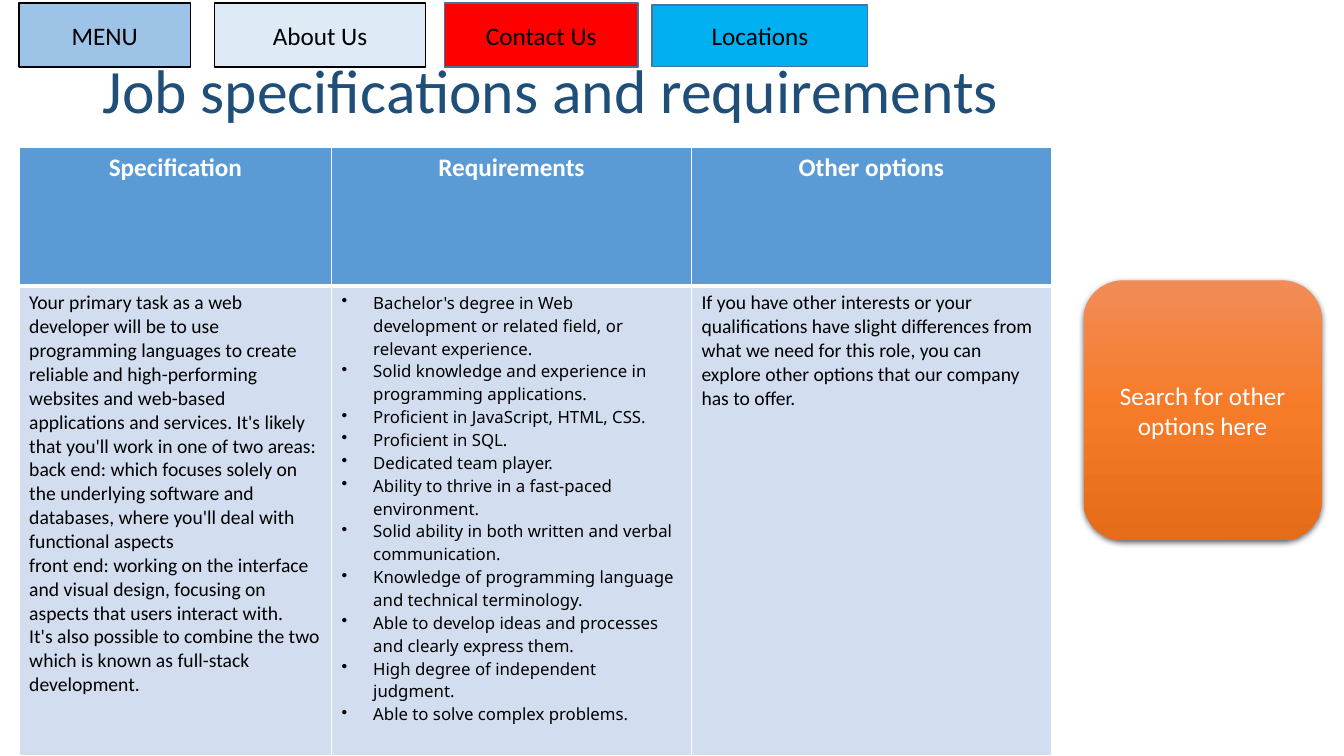
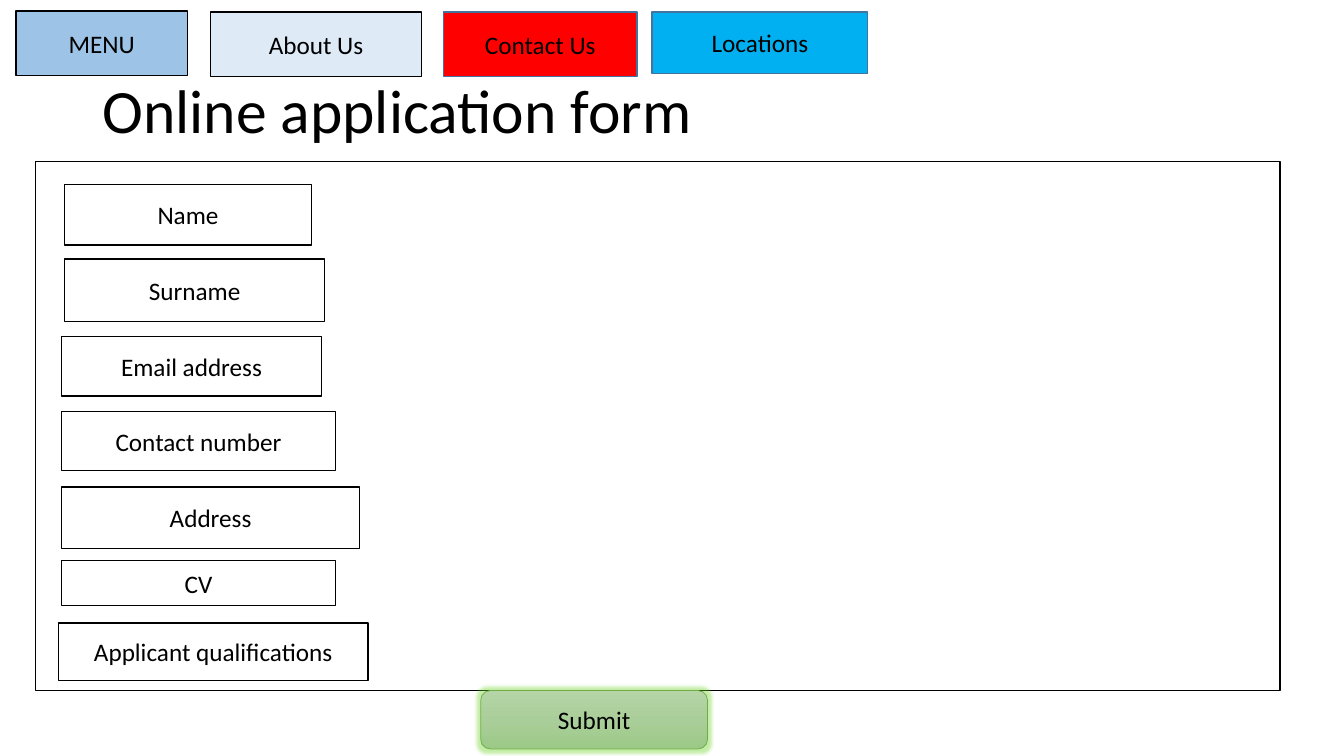
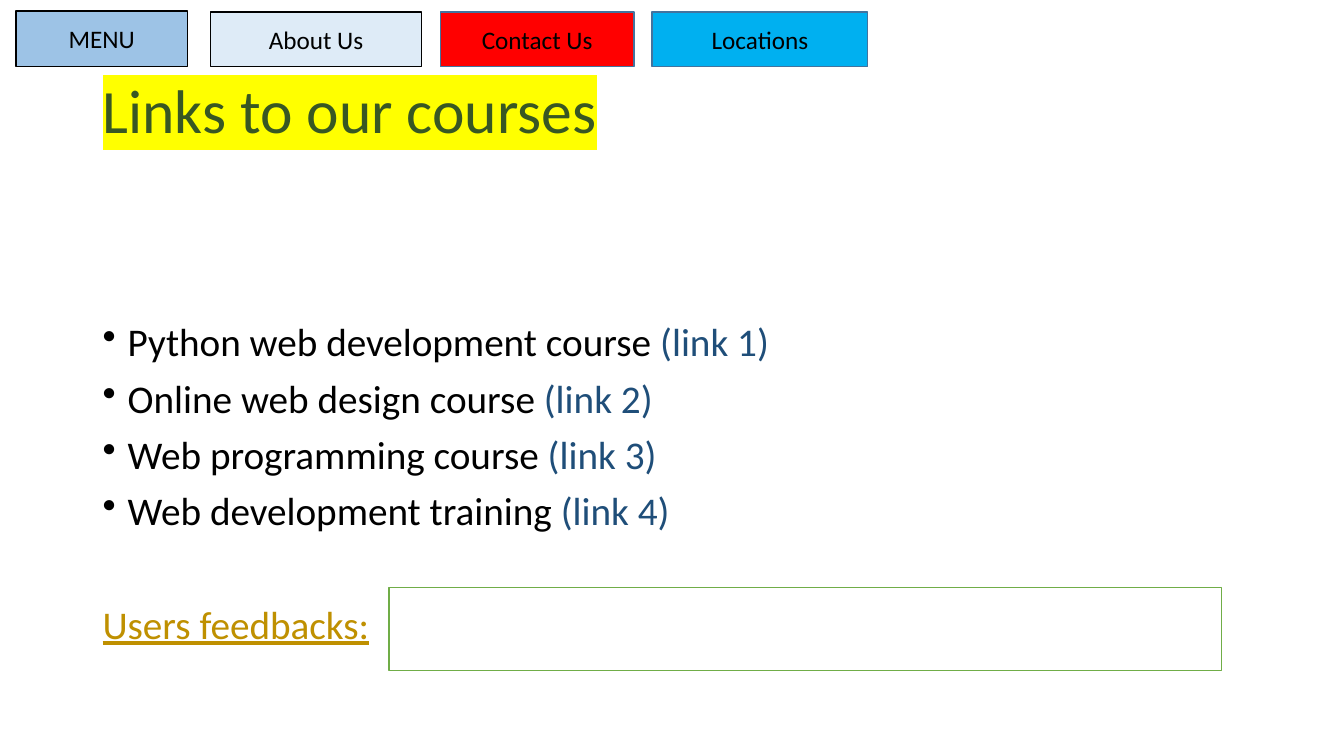
"""Build three pages of a job site: specifications, application form and course links."""
import copy
from dataclasses import dataclass
from typing import Optional

import lxml.etree
import pptx
import pptx.dml.color
import pptx.enum.shapes
import pptx.enum.text
import pptx.oxml.ns
import pptx.util

Pt = pptx.util.Pt
qn = pptx.oxml.ns.qn
Preset = pptx.enum.shapes.MSO_SHAPE
Align = pptx.enum.text.PP_ALIGN
Anchor = pptx.enum.text.MSO_ANCHOR

COLORS = {
    "black": "000000", "white": "FFFFFF", "navy": "1F4E79", "forest": "385723",
    "gold": "BF9000", "yellow": "FFFF00", "green": "70AD47", "glow": "69D321",
    "header": "5B9BD5", "cell": "D2DEEF", "edge": "43739E", "menu": "9DC3E6",
    "about": "DEEBF7", "contact": "FF0000", "locations": "00B0F0",
    "orange_top": "F18C57", "orange_mid": "F67B28", "orange_low": "E56C19",
    "leaf_top": "B5D5A7", "leaf_mid": "AACE9A", "leaf_low": "9CC987",
}
FONT = "Calibri"
LIST_FONT = "Noto Sans"
MARGIN_LEFT = 66.2
TEXT_WIDTH = 828


@dataclass
class Area:
    """A rectangle in points."""
    left: float
    top: float
    width: float
    height: float


@dataclass
class Span:
    """A piece of text with one format."""
    text: str
    size: float = 18
    color: str = "black"
    bold: bool = False
    underline: bool = False
    font: str = FONT
    highlight: Optional[str] = None


@dataclass
class Block:
    """A filled shape with an optional centred caption."""
    area: Area
    fill: tuple[str, ...] = ("white",)
    caption: Optional[Span] = None
    line: Optional[str] = "black"
    line_width: float = 1
    preset: Preset = Preset.RECTANGLE


@dataclass
class Tab:
    """A navigation button that every page carries."""
    label: str
    fill: str
    line: str
    width: float


TABS = (
    Tab("MENU", "menu", "black", 122.4),
    Tab("About Us", "about", "black", 150.5),
    Tab("Contact Us", "contact", "edge", 138.2),
    Tab("Locations", "locations", "edge", 154.1),
)


@dataclass
class TabRow:
    """Where the navigation buttons sit on one page."""
    lefts: tuple[float, ...]
    tops: tuple[float, ...]
    heights: tuple[float, ...]


SPEC_TABS = TabRow((13.7, 153.4, 317.5, 465.8), (2, 2, 2, 3.6), (46, 46, 46, 44))
FORM_TABS = TabRow((11.5, 150.5, 316.8, 465.8), (7.9, 8.6, 8.6, 8.6), (46, 46, 46, 44))
LINK_TABS = TabRow((11.5, 150.5, 314.6, 465.8), (7.9, 8.6, 8.6, 8.6), (39.6, 39, 39, 39))

HEADINGS = ("Specification", "Requirements", "Other options")
COLUMN_WIDTHS = (223.2, 257, 257)
ROW_HEIGHTS = (99.4, 335.5)
DUTIES = (
    "Your primary task as a web developer will be to use programming languages to create reliable "
    "and high-performing websites and web-based applications and services. It's likely that you'll "
    "work in one of two areas:",
    "back end: which focuses solely on the underlying software and databases, where you'll deal "
    "with functional aspects",
    "front end: working on the interface and visual design, focusing on aspects that users "
    "interact with.",
    "It's also possible to combine the two which is known as full-stack development.",
)
REQUIREMENTS = (
    "Bachelor's degree in Web development or related field, or relevant experience.",
    "Solid knowledge and experience in programming applications.",
    "Proficient in JavaScript, HTML, CSS.",
    "Proficient in SQL.",
    "Dedicated team player.",
    "Ability to thrive in a fast-paced environment.",
    "Solid ability in both written and verbal communication.",
    "Knowledge of programming language and technical terminology.",
    "Able to develop ideas and processes and clearly express them.",
    "High degree of independent judgment.",
    "Able to solve complex problems.",
)
OPTIONS = (
    "If you have other interests or your qualifications have slight differences from what we need "
    "for this role, you can explore other options that our company has to offer.",
)
FIELDS = (
    ("Name", Area(46.1, 131.8, 176.4, 43.2)),
    ("Surname", Area(46.1, 185, 185.8, 44.6)),
    ("Email address", Area(43.9, 240.5, 185.8, 42.5)),
    ("Contact number", Area(43.9, 293.8, 195.8, 42.5)),
    ("Address", Area(43.9, 347.8, 213.1, 43.9)),
    ("CV", Area(43.9, 400.3, 195.8, 32.4)),
    ("Applicant qualifications", Area(41.8, 445, 221, 41)),
)
COURSES = (
    "Python web development course ",
    "Online web design course ",
    "Web programming course ",
    "Web development training ",
)


def rgb(name: str) -> pptx.dml.color.RGBColor:
    """Look up a named colour."""
    return pptx.dml.color.RGBColor.from_string(COLORS[name])


def add_color(parent, name: str, alpha: Optional[int] = None) -> None:
    """Append a colour element, with opacity in percent if given."""
    color = lxml.etree.SubElement(parent, qn("a:srgbClr"), val=COLORS[name])
    if alpha is not None:
        lxml.etree.SubElement(color, qn("a:alpha"), val=str(alpha * 1000))


def add_effect(shape, tag: str, color: str, alpha: int, **settings: str) -> None:
    """Add a shadow or glow to a shape."""
    effects = shape.element.spPr.find(qn("a:effectLst"))
    add_color(lxml.etree.SubElement(effects, qn(tag), **settings), color, alpha)


def add_span(para, span: Span) -> None:
    """Append one formatted run to a paragraph."""
    run = para.add_run()
    run.text = span.text
    run.font.size = Pt(span.size)
    run.font.bold = span.bold
    run.font.underline = span.underline
    run.font.color.rgb = rgb(span.color)
    if span.highlight:
        mark = lxml.etree.SubElement(run.font._element, qn("a:highlight"))
        add_color(mark, span.highlight)
    run.font.name = span.font


def set_bullet(para, indent: float) -> None:
    """Give a paragraph a hanging bullet."""
    properties = para._p.get_or_add_pPr()
    properties.set("marL", str(Pt(indent)))
    properties.set("indent", str(-Pt(indent)))
    lxml.etree.SubElement(properties, qn("a:buChar"), char="•")


def fill_frame(frame, lines: list[list[Span]], align=Align.LEFT, bullet: float = 0,
               spacing: float = 1, after: float = 0) -> None:
    """Write lines of spans into a text frame, one paragraph each."""
    frame.word_wrap = True
    for index, spans in enumerate(lines):
        para = frame.add_paragraph() if index else frame.paragraphs[0]
        para.alignment = align
        para.line_spacing = spacing
        para.space_after = Pt(after)
        if bullet:
            set_bullet(para, bullet)
        for span in spans:
            add_span(para, span)


def add_text(page, area: Area, lines: list[list[Span]], anchor=Anchor.TOP,
             bullet: float = 0) -> None:
    """Place a text box in the body style."""
    box = page.shapes.add_textbox(Pt(area.left), Pt(area.top), Pt(area.width), Pt(area.height))
    box.text_frame.vertical_anchor = anchor
    fill_frame(box.text_frame, lines, bullet=bullet, spacing=0.9, after=10 if bullet else 0)


def fill_gradient(fill, names: tuple[str, ...]) -> None:
    """Fill from top to bottom through evenly spaced colours."""
    fill.gradient()
    fill.gradient_angle = 270
    first = fill.gradient_stops[0]._gs
    for _ in names[2:]:
        first.addnext(copy.deepcopy(first))
    for index, (stop, name) in enumerate(zip(fill.gradient_stops, names)):
        stop.position = index / (len(names) - 1)
        stop.color.rgb = rgb(name)


def add_block(page, block: Block):
    """Draw a block and return its shape."""
    area = block.area
    shape = page.shapes.add_shape(block.preset, Pt(area.left), Pt(area.top),
                                  Pt(area.width), Pt(area.height))
    shape.shadow.inherit = False
    if len(block.fill) > 1:
        fill_gradient(shape.fill, block.fill)
    else:
        shape.fill.solid()
        shape.fill.fore_color.rgb = rgb(block.fill[0])
    if block.line:
        shape.line.color.rgb = rgb(block.line)
        shape.line.width = Pt(block.line_width)
    else:
        shape.line.fill.background()
    if block.caption:
        shape.text_frame.vertical_anchor = Anchor.MIDDLE
        fill_frame(shape.text_frame, [[block.caption]], Align.CENTER)
    return shape


def add_page(deck, title: Span, title_height: float):
    """Add a blank page with its title."""
    page = deck.slides.add_slide(deck.slide_layouts[6])
    add_text(page, Area(MARGIN_LEFT, 28.8, TEXT_WIDTH, title_height), [[title]], Anchor.MIDDLE)
    return page


def add_tabs(page, row: TabRow) -> None:
    """Draw the navigation buttons."""
    for tab, left, top, height in zip(TABS, row.lefts, row.tops, row.heights):
        area = Area(left, top, tab.width, height)
        add_block(page, Block(area, (tab.fill,), Span(tab.label), tab.line))


def style_cell(cell, fill: str, bottom: float) -> None:
    """Give a cell white borders and a plain fill."""
    properties = cell._tc.get_or_add_tcPr()
    for side, width in (("L", 1), ("R", 1), ("T", 1), ("B", bottom)):
        border = lxml.etree.SubElement(properties, qn(f"a:ln{side}"), w=str(Pt(width)))
        add_color(lxml.etree.SubElement(border, qn("a:solidFill")), "white")
    cell.fill.solid()
    cell.fill.fore_color.rgb = rgb(fill)


def add_job_table(page) -> None:
    """Draw the table of duties, requirements and options."""
    table = page.shapes.add_table(2, 3, Pt(13.7), Pt(105.1), Pt(sum(COLUMN_WIDTHS)),
                                  Pt(sum(ROW_HEIGHTS))).table
    table.horz_banding = False
    for row, height in zip(table.rows, ROW_HEIGHTS):
        row.height = Pt(height)
    details = (
        [[Span(line, 14)] for line in DUTIES],
        [[Span(line, 12, font=LIST_FONT)] for line in REQUIREMENTS],
        [[Span(line, 14)] for line in OPTIONS],
    )
    for index, (width, heading, lines) in enumerate(zip(COLUMN_WIDTHS, HEADINGS, details)):
        table.columns[index].width = Pt(width)
        head, body = table.cell(0, index), table.cell(1, index)
        style_cell(head, "header", 3)
        style_cell(body, "cell", 1)
        fill_frame(head.text_frame, [[Span(heading, color="white", bold=True)]], Align.CENTER)
        fill_frame(body.text_frame, lines, bullet=22.5 if heading == "Requirements" else 0)


def build_specifications(deck) -> None:
    """Build the page of job specifications."""
    page = add_page(deck, Span("Job specifications and requirements", 44, "navy"), 76.3)
    add_job_table(page)
    search = add_block(page, Block(
        Area(774, 200.2, 170, 185.8), ("orange_top", "orange_mid", "orange_low"),
        Span("Search for other options here", color="white"), None,
        preset=Preset.FLOWCHART_ALTERNATE_PROCESS))
    add_effect(search, "a:outerShdw", "black", 63, blurRad=str(Pt(4.5)), dist=str(Pt(1.5)),
               dir="5400000", algn="ctr", rotWithShape="0")
    add_tabs(page, SPEC_TABS)


def build_form(deck) -> None:
    """Build the online application form."""
    page = add_page(deck, Span("Online application form", 44), 104.4)
    add_block(page, Block(Area(25.2, 115.2, 889.2, 378)))
    for label, area in FIELDS:
        add_block(page, Block(area, caption=Span(label)))
    add_tabs(page, FORM_TABS)
    submit = add_block(page, Block(
        Area(343.4, 493.2, 162, 41.8), ("leaf_top", "leaf_mid", "leaf_low"), Span("Submit"),
        "green", 0.5, Preset.ROUNDED_RECTANGLE))
    add_effect(submit, "a:glow", "glow", 40, rad=str(Pt(5)))


def build_links(deck) -> None:
    """Build the page of course links."""
    page = add_page(deck, Span("Links to our courses", 44, "forest", highlight="yellow"), 104.4)
    lines = [[Span(course, 28), Span(f"(link {number})", 28, "navy")]
             for number, course in enumerate(COURSES, 1)]
    add_text(page, Area(MARGIN_LEFT, 227, TEXT_WIDTH, 170), lines, bullet=18)
    add_text(page, Area(MARGIN_LEFT, 429, 210, 40),
             [[Span("Users feedbacks:", 28, "gold", underline=True)]])
    add_tabs(page, LINK_TABS)
    add_block(page, Block(Area(277.9, 419.8, 594.7, 59), line="green"))


def main() -> None:
    """Build and save the deck."""
    deck = pptx.Presentation()
    deck.slide_width, deck.slide_height = Pt(960), Pt(540)
    build_specifications(deck)
    build_form(deck)
    build_links(deck)
    deck.save("out.pptx")


if __name__ == "__main__":
    main()
